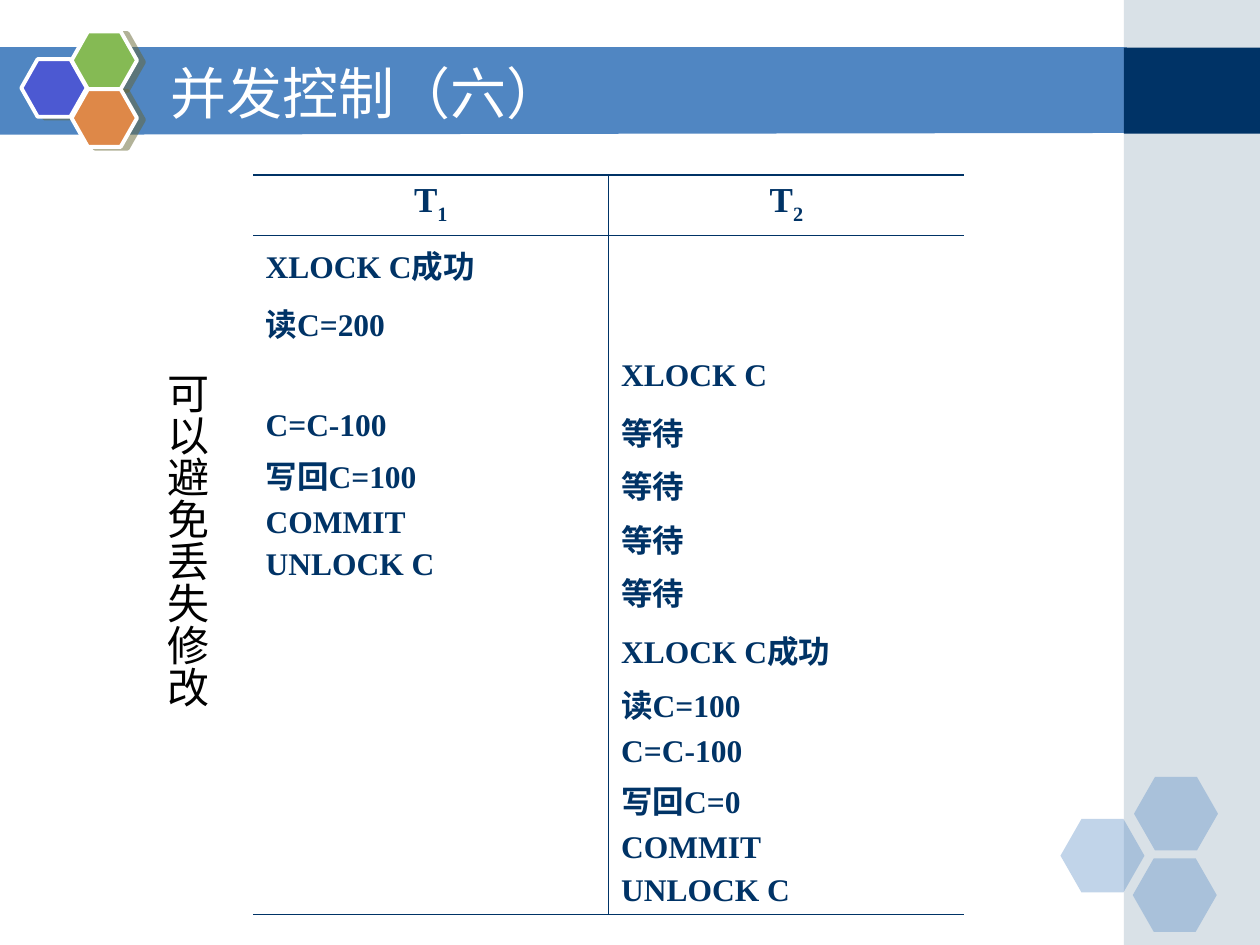
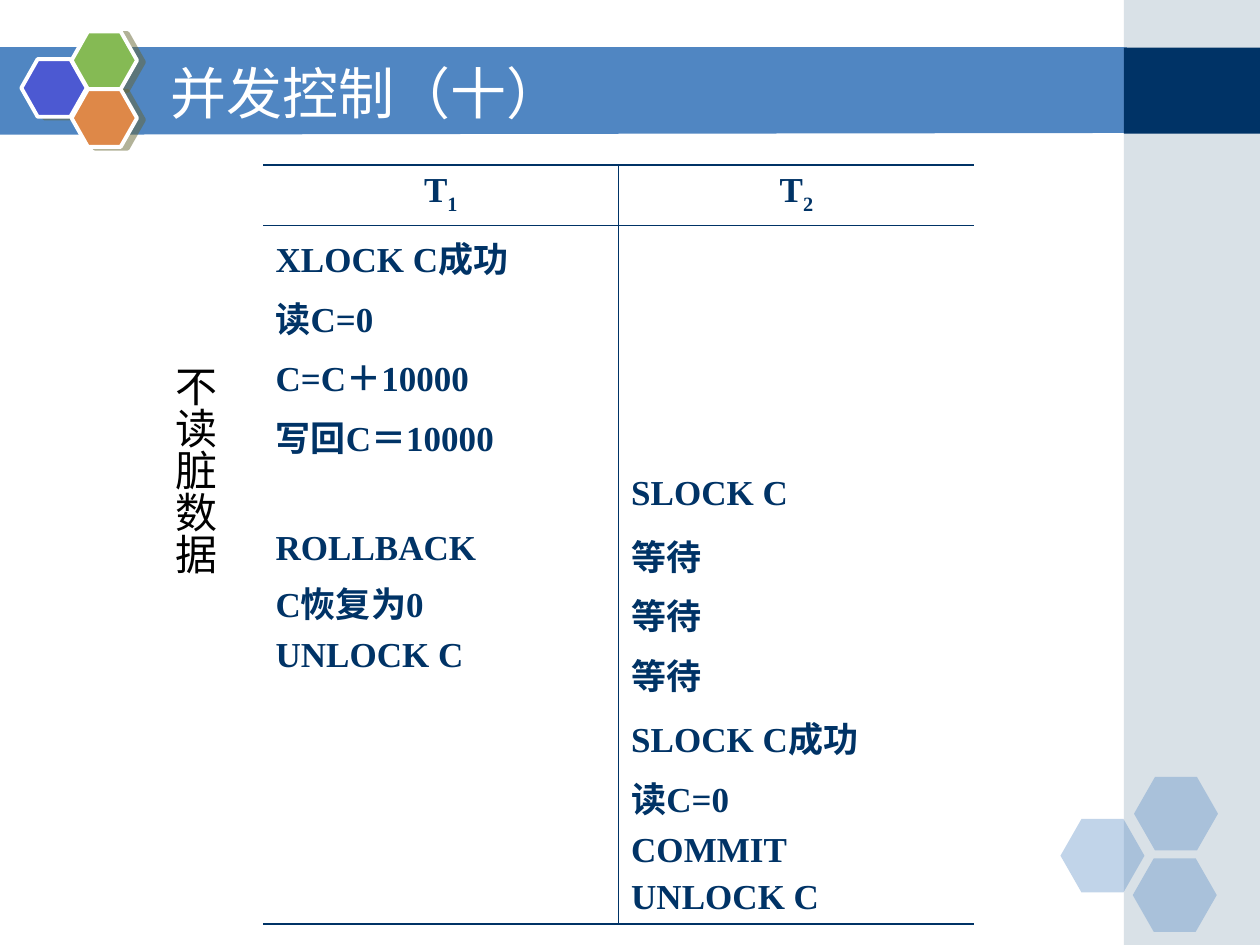
from lxml.etree import SubElement
from pptx import Presentation
from pptx.dml.color import RGBColor
from pptx.enum.shapes import MSO_SHAPE
from pptx.enum.text import MSO_ANCHOR, PP_ALIGN
from pptx.oxml import parse_xml
from pptx.oxml.ns import nsdecls, qn
from pptx.util import Pt

COLORS = {
    "band": "5086C2", "navy": "003366", "side": "A0B5C4", "white": "FFFFFF",
    "black": "000000", "violet": "4C59D2", "green": "85BA54",
    "orange": "DE8848", "shadow": "666633",
}
THICK, THIN = 1.08, 0.45
LABEL_SIZE = 24
HEADER_SIZE = 20

LOST_UPDATE = {
    "title": "并发控制（六）",
    "label": "可以避免丢失修改",
    "label_box": (81.4, 205.9, 43.2, 211.7),
    "label_align": PP_ALIGN.LEFT,
    "table_at": (144.6, 100),
    "size": 18,
    "heights": [34.6, 28.8, 28.8, 28.8, 107.3, 159.8],
    "steps": [
        (["XLOCK C成功"], []),
        (["读C=200"], []),
        ([], ["XLOCK C"]),
        (["C=C-100", "写回C=100", "COMMIT", "UNLOCK C"], ["等待"] * 4),
        ([], ["XLOCK C成功", "读C=100", "C=C-100", "写回C=0", "COMMIT", "UNLOCK C"]),
    ],
}
DIRTY_READ = {
    "title": "并发控制（十）",
    "label": "不读脏数据",
    "label_box": (86.4, 201.6, 43.2, 208.1),
    "label_align": PP_ALIGN.CENTER,
    "table_at": (150.3, 94.3),
    "size": 20,
    "heights": [34.6, 118.1, 31.7, 89.3, 118.1],
    "steps": [
        (["XLOCK C成功", "读C=0", "C=C＋10000", "写回C＝10000"], []),
        ([], ["SLOCK C"]),
        (["ROLLBACK", "C恢复为0", "UNLOCK C"], ["等待"] * 3),
        ([], ["SLOCK C成功", "读C=0", "COMMIT", "UNLOCK C"]),
    ],
}


def rgb(name):
    """Return the named colour."""
    return RGBColor.from_string(COLORS[name])


def paint(shape, color, opacity=100):
    """Give a shape a plain fill, no line and no shadow."""
    shape.shadow.inherit = False
    shape.fill.solid()
    shape.fill.fore_color.rgb = rgb(color)
    shape.line.fill.background()
    if opacity < 100:
        fill_color = shape.element.spPr.find(qn("a:solidFill"))[0]
        SubElement(fill_color, qn("a:alpha"), val=str(opacity * 1000))


def add_block(slide, kind, box, color, opacity=100):
    """Add a painted preset shape in a box given in points."""
    block = slide.shapes.add_shape(kind, *map(Pt, box))
    paint(block, color, opacity)
    return block


def add_bands(slide):
    """Draw the title band and the side column."""
    outline = slide.shapes.build_freeform(-0.7, 27.2, scale=Pt(1))
    outline.add_line_segments([(644.4, 27.2), (644.4, 76.4), (-0.7, 76.9)])
    paint(outline.convert_to_shape(), "band")
    add_block(slide, MSO_SHAPE.RECTANGLE, (642.2, 0, 77.8, 540), "side", 40)
    add_block(slide, MSO_SHAPE.RECTANGLE, (642.2, 27.2, 77.8, 49.2), "navy")


def add_corner_hexagons(slide, left, top):
    """Draw the three pale hexagons of the lower corner."""
    for dx, dy in [(0, 24), (42, 0), (41.3, 46.5)]:
        hexagon = add_block(slide, MSO_SHAPE.HEXAGON,
                            (left + dx, top + dy, 48, 42), "band", 35)
        hexagon.adjustments[0] = 0.286


def add_emblem(slide, left, top):
    """Draw the three outlined hexagons beside the title."""
    for dx, dy, color in [(0, 15.8, "violet"), (28.7, 0, "green"), (28.7, 33, "orange")]:
        hexagon = add_block(slide, MSO_SHAPE.HEXAGON,
                            (left + dx, top + dy, 37.4, 33), color)
        hexagon.adjustments[0] = 0.283
        hexagon.line.color.rgb = rgb("white")
        hexagon.line.width = Pt(2.25)
        effects = hexagon.element.spPr.find(qn("a:effectLst"))
        effects.append(parse_xml(
            f'<a:outerShdw {nsdecls("a")} dist="{Pt(4.1)}" dir="840000" algn="ctr" '
            f'rotWithShape="0"><a:srgbClr val="{COLORS["shadow"]}">'
            '<a:alpha val="50000"/></a:srgbClr></a:outerShdw>'))


def decorate_layout(slide):
    """Draw the shared decoration and hand it to the slide's layout."""
    layout = slide.slide_layout
    for placeholder in list(layout.placeholders)[1:]:
        layout.shapes.element.remove(placeholder.element)
    add_bands(slide)
    add_corner_hexagons(slide, 606, 444)
    add_emblem(slide, 12.2, 18)
    for shape in list(slide.shapes):
        if not shape.is_placeholder:
            layout.shapes.element.append(shape.element)


def set_font(paragraph, name, size, color, bold=False):
    """Set the font of a whole paragraph."""
    font = paragraph.font
    font.name, font.size, font.bold = name, Pt(size), bold
    font.color.rgb = rgb(color)


def set_title(slide, text):
    """Place and format the title."""
    title = slide.shapes.title
    title.left, title.top, title.width, title.height = map(Pt, (90, 30.2, 527.8, 44.6))
    title.text_frame.text = text
    title.text_frame.vertical_anchor = MSO_ANCHOR.MIDDLE
    heading = title.text_frame.paragraphs[0]
    heading.alignment = PP_ALIGN.LEFT
    set_font(heading, "DejaVu Sans", 32, "white")


def add_label(slide, text, box, alignment):
    """Add the vertical label left of the schedule."""
    frame = slide.shapes.add_textbox(*map(Pt, box)).text_frame
    frame.word_wrap = True
    frame.margin_left = frame.margin_right = Pt(3.6)
    frame.margin_top = frame.margin_bottom = Pt(7.2)
    frame._txBody.bodyPr.set("vert", "eaVert")
    frame.text = text
    frame.paragraphs[0].alignment = alignment
    set_font(frame.paragraphs[0], "Arial", LABEL_SIZE, "black")


def set_borders(cell, widths):
    """Give a cell its left, right, top and bottom lines; zero means none."""
    cell.fill.background()
    properties = cell._tc.get_or_add_tcPr()
    for index, (side, width) in enumerate(zip("LRTB", widths)):
        fill = (f'<a:solidFill><a:srgbClr val="{COLORS["navy"]}"/></a:solidFill>'
                if width else "<a:noFill/>")
        properties.insert(index, parse_xml(
            f'<a:ln{side} {nsdecls("a")} w="{Pt(width)}">{fill}</a:ln{side}>'))


def fill_header(cell, number):
    """Write a transaction name with its subscript."""
    heading = cell.text_frame.paragraphs[0]
    heading.alignment = PP_ALIGN.CENTER
    set_font(heading, "Times New Roman", HEADER_SIZE, "navy", True)
    heading.add_run().text = "T"
    subscript = heading.add_run()
    subscript.text = str(number)
    subscript._r.get_or_add_rPr().set("baseline", "-25000")


def fill_steps(cell, steps, size):
    """Write one step to a paragraph."""
    cell.text_frame.text = "\n".join(steps)
    for index, paragraph in enumerate(cell.text_frame.paragraphs):
        if index:
            paragraph.space_before = Pt(size / 4)
        set_font(paragraph, "Times New Roman", size, "navy", True)


def add_schedule(slide, left, top, heights, steps, size):
    """Add the table of the two transactions' steps."""
    column_width = 203.2
    schedule = slide.shapes.add_table(
        len(heights), 2, Pt(left), Pt(top), Pt(2 * column_width), Pt(sum(heights))).table
    schedule.first_row = schedule.horz_banding = False
    last = len(heights) - 1
    for column in schedule.columns:
        column.width = Pt(column_width)
    for row, height in enumerate(heights):
        schedule.rows[row].height = Pt(height)
        above = {0: THICK, 1: THIN}.get(row, 0)
        below = {0: THIN, last: THICK}.get(row, 0)
        for column in range(2):
            cell = schedule.cell(row, column)
            set_borders(cell, (THIN * column, THIN * (1 - column), above, below))
            if row == 0:
                fill_header(cell, column + 1)
            else:
                fill_steps(cell, steps[row - 1][column], size)


def fill_slide(slide, content):
    """Fill one schedule slide."""
    set_title(slide, content["title"])
    add_schedule(slide, *content["table_at"], content["heights"],
                 content["steps"], content["size"])
    add_label(slide, content["label"], content["label_box"], content["label_align"])


def main():
    """Build and save the presentation."""
    deck = Presentation()
    deck.slide_width, deck.slide_height = Pt(720), Pt(540)
    title_only = deck.slide_layouts[5]
    slides = [deck.slides.add_slide(title_only) for _ in range(2)]
    decorate_layout(slides[0])
    for slide, content in zip(slides, (LOST_UPDATE, DIRTY_READ)):
        fill_slide(slide, content)
    deck.save("out.pptx")


if __name__ == "__main__":
    main()
